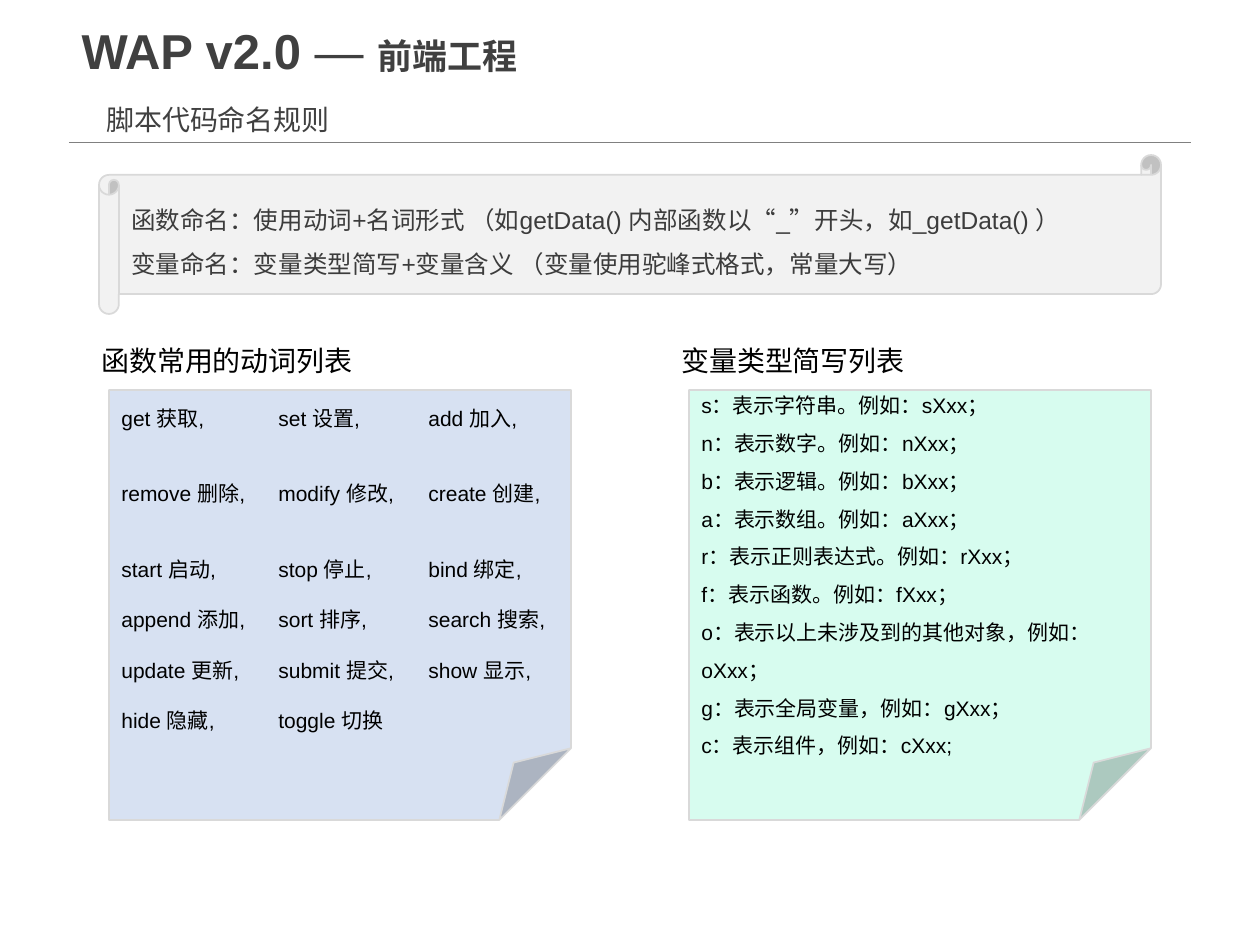
from pptx import Presentation
from pptx.dml.color import RGBColor
from pptx.enum.shapes import MSO_CONNECTOR, MSO_SHAPE
from pptx.enum.text import MSO_ANCHOR, MSO_AUTO_SIZE, PP_ALIGN
from pptx.oxml.ns import qn
from pptx.util import Emu, Pt
from lxml.etree import SubElement

DARK, BLACK, BORDER = "404040", "000000", "D9D9D9"

RULES = [
    "函数命名：使用动词+名词形式 （如getData() 内部函数以“_”开头，如_getData() ）",
    "变量命名：变量类型简写+变量含义 （变量使用驼峰式格式，常量大写）",
]
VERBS = [
    ["get 获取,", "set 设置,", "add 加入,"],
    ["remove 删除,", "modify 修改,", "create 创建,"],
    ["start 启动,", "stop 停止,", "bind 绑定,"],
    ["append 添加,", "sort 排序,", "search 搜索,"],
    ["update 更新,", "submit 提交,", "show 显示,"],
    ["hide 隐藏,", "toggle 切换"],
]
VERB_GAPS = [0, 28.8, 28.8, 14.4, 14.4, 14.4]
VERB_TABS = [157, 307]
PREFIXES = [
    "s：表示字符串。例如：sXxx；",
    "n：表示数字。例如：nXxx；",
    "b：表示逻辑。例如：bXxx；",
    "a：表示数组。例如：aXxx；",
    "r：表示正则表达式。例如：rXxx；",
    "f：表示函数。例如：fXxx；",
    "o：表示以上未涉及到的其他对象，例如：oXxx；",
    "g：表示全局变量，例如：gXxx；",
    "c：表示组件，例如：cXxx;",
]


def px(n):
    return Emu(round(n * 914400 / 126))


def rgb(value):
    return RGBColor.from_string(value)


def add_run(p, text, size, color=BLACK, bold=False):
    r = p.add_run()
    r.text = text
    r.font.name = "Arial"
    r.font.size = Pt(size)
    r.font.bold = bold
    r.font.color.rgb = rgb(color)


def write(tf, lines, size, color=BLACK, spacing=1.0, gaps=None, tabs=(),
          anchor=MSO_ANCHOR.MIDDLE):
    tf.word_wrap = True
    tf.vertical_anchor = anchor
    for i, line in enumerate(lines):
        p = tf.paragraphs[0] if i == 0 else tf.add_paragraph()
        p.alignment = PP_ALIGN.LEFT
        p.line_spacing = spacing
        if gaps:
            p.space_before = Pt(gaps[i])
        if tabs:
            tab_list = SubElement(p._p.get_or_add_pPr(), qn("a:tabLst"))
            for tab in tabs:
                SubElement(tab_list, qn("a:tab"), pos=str(px(tab)), algn="l")
        add_run(p, line, size, color)


def add_label(s, x, y, w, text, color=BLACK):
    sp = s.shapes.add_textbox(px(x), px(y), px(w), px(47))
    write(sp.text_frame, [text], 16, color, anchor=MSO_ANCHOR.TOP)


def add_box(s, kind, x, y, w, h, fill):
    sp = s.shapes.add_shape(kind, px(x), px(y), px(w), px(h))
    sp.shadow.inherit = False
    sp.fill.solid()
    sp.fill.fore_color.rgb = rgb(fill)
    sp.line.color.rgb = rgb(BORDER)
    sp.line.width = Pt(1)
    return sp.text_frame


def add_header(s, x, y, w):
    title = s.shapes.title
    title.left, title.top, title.width, title.height = px(x), px(y), px(w), px(76)
    tf = title.text_frame
    tf.auto_size = MSO_AUTO_SIZE.NONE
    tf.vertical_anchor = MSO_ANCHOR.BOTTOM
    p = tf.paragraphs[0]
    p.alignment = PP_ALIGN.LEFT
    p.line_spacing = 0.9
    add_run(p, "WAP v2.0 ", 28, DARK, bold=True)
    add_run(p, "— ", 28, DARK)
    add_run(p, "前端工程", 20, DARK, bold=True)

    add_label(s, x + 25, y + 86, w - 59, "脚本代码命名规则", DARK)
    rule = s.shapes.add_connector(MSO_CONNECTOR.STRAIGHT, px(x), px(y + 132),
                                  px(x + w), px(y + 132))
    rule.line.color.rgb = rgb("808080")
    rule.line.width = Pt(0.25)
    SubElement(rule._element.spPr, qn("a:effectLst"))


def add_rules_scroll(s, x, y, w, h):
    tf = add_box(s, MSO_SHAPE.HORIZONTAL_SCROLL, x, y, w, h, "F2F2F2")
    write(tf, RULES, 14, "3C3C3C", spacing=1.5)


def add_note(s, x, y, w, h, heading, fill, lines, **fmt):
    """Folded note with its heading above."""
    tf = add_box(s, MSO_SHAPE.FOLDED_CORNER, x, y, w, h, fill)
    write(tf, lines, 12, **fmt)
    add_label(s, x - 20, y - 53, w, heading)


def main():
    prs = Presentation()
    prs.slide_width, prs.slide_height = px(1260), px(945)
    s = prs.slides.add_slide(prs.slide_layouts[5])
    add_header(s, 69, 10, 1122)
    add_rules_scroll(s, 99, 155, 1062, 159)
    add_note(s, 109, 390, 462, 430, "函数常用的动词列表", "D7E1F2",
             ["\t".join(row) for row in VERBS], gaps=VERB_GAPS, tabs=VERB_TABS)
    add_note(s, 689, 390, 462, 430, "变量类型简写列表", "D7FCEF",
             PREFIXES, spacing=1.5)
    prs.save("out.pptx")


if __name__ == "__main__":
    main()
